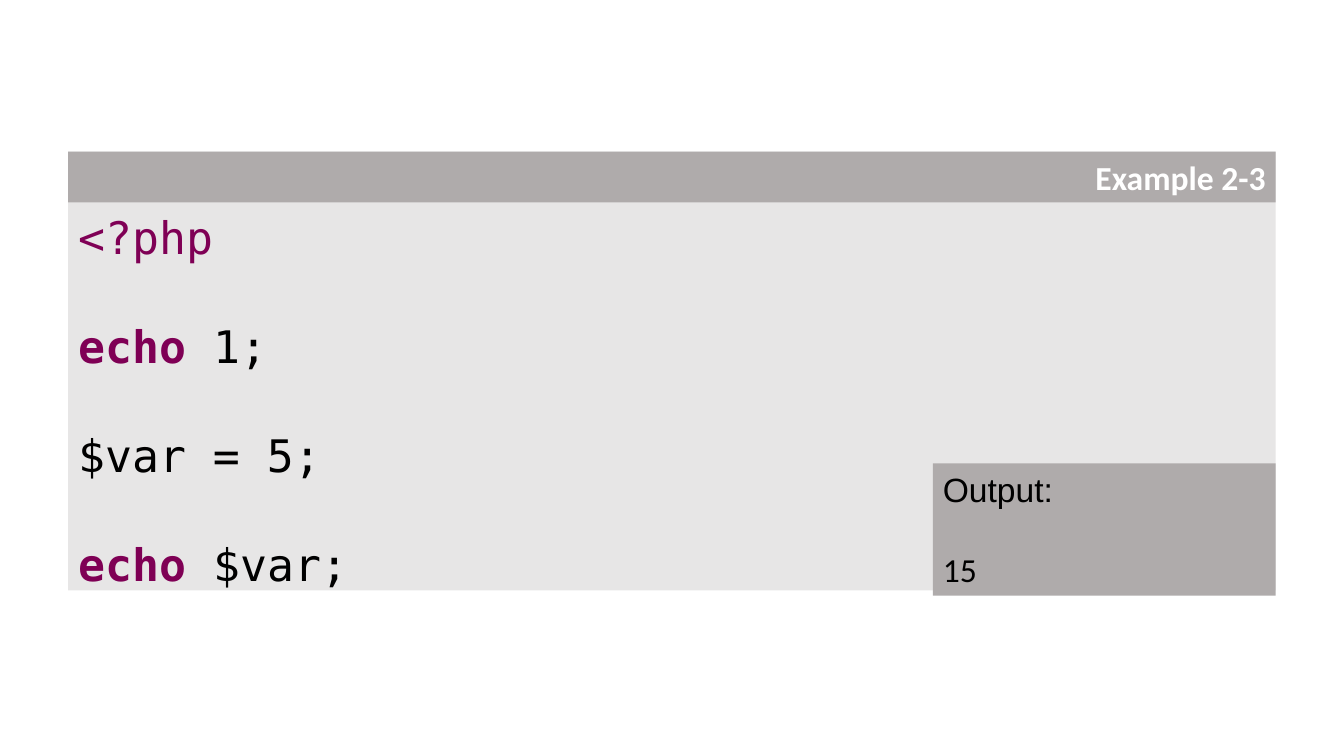
from pptx import Presentation
from pptx.dml.color import RGBColor
from pptx.enum.shapes import MSO_SHAPE
from pptx.enum.text import MSO_ANCHOR, PP_ALIGN
from pptx.util import Cm, Pt

RECT = MSO_SHAPE.RECTANGLE
TOP, MIDDLE, BOTTOM = MSO_ANCHOR.TOP, MSO_ANCHOR.MIDDLE, MSO_ANCHOR.BOTTOM
LEFT, RIGHT = PP_ALIGN.LEFT, PP_ALIGN.RIGHT

MONO, SANS, BODY = "DejaVu Sans Mono", "Arial", "Calibri"
KEYWORD, BLACK, WHITE = "7F0055", "000000", "FFFFFF"
PANEL, BAR = "E7E6E6", "AFABAB"

CODE = [
    [("<?php", KEYWORD, False)],
    [("echo", KEYWORD, True), (" 1;", BLACK, False)],
    [("$var = 5;", BLACK, False)],
    [("echo", KEYWORD, True), (" $var;", BLACK, False)],
]


def rgb(color):
    """Return the colour for a hex string."""
    return RGBColor.from_string(color)


def add_panel(s, box, fill, anchor):
    """Add a plain filled rectangle and return its text frame."""
    sp = s.shapes.add_shape(RECT, *(Cm(v) for v in box))
    sp.shadow.inherit = False
    sp.fill.solid()
    sp.fill.fore_color.rgb = rgb(fill)
    sp.line.fill.background()
    tf = sp.text_frame
    tf.word_wrap = True
    tf.vertical_anchor = anchor
    return tf


def add_line(tf, index, gap=0, align=LEFT):
    """Return paragraph number index, set off by gap points from the one above."""
    p = tf.add_paragraph() if index else tf.paragraphs[0]
    p.alignment = align
    p.space_before = Pt(gap if index else 0)
    return p


def add_run(p, text, font, size, color, bold=False):
    """Append one formatted run to a paragraph."""
    r = p.add_run()
    r.text = text
    r.font.name = font
    r.font.size = Pt(size)
    r.font.bold = bold
    r.font.color.rgb = rgb(color)


def add_code(s, box):
    """Add the code listing, standing on the bottom edge of its box."""
    tf = add_panel(s, box, PANEL, BOTTOM)
    tf.margin_bottom = 0
    for i, parts in enumerate(CODE):
        p = add_line(tf, i, 39.5)
        for text, color, bold in parts:
            add_run(p, text, MONO, 32, color, bold)


def add_output(s, box):
    """Add the output box."""
    tf = add_panel(s, box, BAR, TOP)
    for i, (text, font) in enumerate([("Output:", SANS), ("15", BODY)]):
        add_run(add_line(tf, i, 28.5), text, font, 24, BLACK)


def add_header(s, box, text):
    """Add the bar that names the example."""
    tf = add_panel(s, box, BAR, MIDDLE)
    add_run(add_line(tf, 0, align=RIGHT), text, BODY, 24, WHITE, True)


def add_example(s, left, top, width, height):
    """Add the listing with its header bar and its output in the lower right corner."""
    out_w, out_h, overhang = 8.64, 3.33, 0.13
    add_code(s, (left, top, width, height))
    add_output(s, (left + width - out_w, top + height + overhang - out_h, out_w, out_h))
    add_header(s, (left, top, width, 1.28), "Example 2-3")


def main():
    """Build and save the slide."""
    prs = Presentation()
    prs.slide_width, prs.slide_height = Cm(33.87), Cm(19.05)
    s = prs.slides.add_slide(prs.slide_layouts[6])
    add_example(s, 1.72, 3.82, 30.43, 11.06)
    prs.save("out.pptx")


if __name__ == "__main__":
    main()
